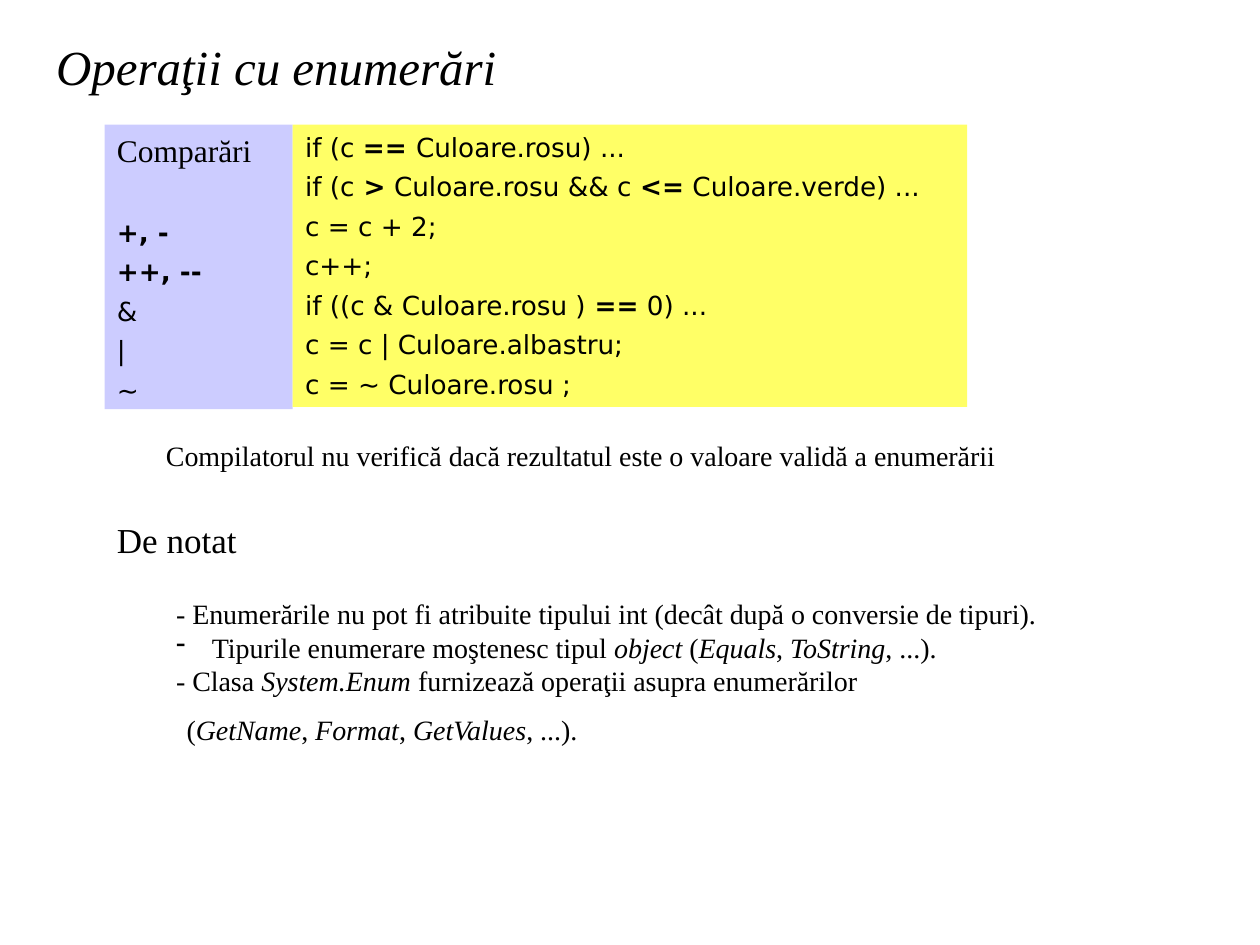
from dataclasses import dataclass

from lxml.etree import SubElement
from pptx import Presentation
from pptx.dml.color import RGBColor
from pptx.enum.text import MSO_ANCHOR
from pptx.oxml.ns import qn
from pptx.util import Pt


@dataclass(frozen=True)
class Theme:
    serif: str = "Times New Roman"
    sans: str = "DejaVu Sans"
    ink: RGBColor = RGBColor(0, 0, 0)
    lavender: RGBColor = RGBColor(0xCC, 0xCC, 0xFF)
    yellow: RGBColor = RGBColor(0xFF, 0xFF, 0x66)
    title: int = 28
    heading: int = 20
    label: int = 18
    body: int = 16
    code: int = 15


THEME = Theme()

# Within a line, every second piece (between bars of ¦) is emphasised.
MARK = "¦"
TITLE = "¦Operaţii cu enumerări¦"
COMPARISON_LABEL = "Comparări"
OPERATORS = ["¦+, -¦", "¦++, --¦", "&", "|", "~"]
EXAMPLES = [
    "if (c ¦== ¦Culoare.rosu) ...",
    "if (c¦ >¦ Culoare.rosu && c ¦<=¦ Culoare.verde) ...",
    "c = c + 2;",
    "c++;",
    "if ((c & Culoare.rosu ) ¦==¦ 0) ...",
    "c = c | Culoare.albastru;",
    "c = ~ Culoare.rosu ;",
]
WARNING = "Compilatorul nu verifică dacă rezultatul este o valoare validă a enumerării"
NOTES_HEADING = "De notat"
NOTES = [
    "- Enumerările nu pot fi atribuite tipului int (decât după o conversie de tipuri).",
    "Tipurile enumerare moştenesc tipul ¦object ¦(¦Equals¦, ¦ToString¦, ...).",
    "- Clasa ¦System.Enum ¦furnizează operaţii asupra enumerărilor",
    "(¦GetName¦, ¦Format¦, ¦GetValues¦, ...).",
]

TABLE_LEFT, TABLE_TOP = 59.75, 71.25
OPERATOR_WIDTH, EXAMPLE_WIDTH = 107.5, 385.5
CODE_GAP = 4.6
LABEL_GAP = 27


def add_box(slide, left, top, width, height, fill=None):
    box = slide.shapes.add_textbox(Pt(left), Pt(top), Pt(width), Pt(height))
    box.text_frame.word_wrap = True
    if fill is not None:
        box.fill.solid()
        box.fill.fore_color.rgb = fill
    return box.text_frame


def write_lines(frame, lines, size, font=THEME.serif, emphasis="italic", gap=0):
    """Append marked-up lines to the frame and return their paragraphs."""
    paragraphs = []
    for line in lines:
        first = frame.paragraphs[0]
        paragraph = frame.add_paragraph() if first.runs else first
        paragraph.space_after = Pt(gap)
        paragraph.font.name = font
        paragraph.font.size = Pt(size)
        paragraph.font.color.rgb = THEME.ink
        for index, piece in enumerate(line.split(MARK)):
            if piece:
                run = paragraph.add_run()
                run.text = piece
                if index % 2:
                    setattr(run.font, emphasis, True)
        paragraphs.append(paragraph)
    return paragraphs


def indent(paragraph, margin, bullet=None):
    properties = paragraph._p.get_or_add_pPr()
    properties.set("marL", str(Pt(margin)))
    if bullet:
        properties.set("indent", str(-Pt(margin)))
        mark = SubElement(properties, qn("a:buChar"))
        mark.set("char", bullet)
        default_font = properties.find(qn("a:defRPr"))
        if default_font is not None:
            default_font.addprevious(mark)


def add_operations(slide):
    operators = add_box(slide, TABLE_LEFT, TABLE_TOP, OPERATOR_WIDTH, 162.5, THEME.lavender)
    write_lines(operators, [COMPARISON_LABEL], THEME.label)
    symbols = write_lines(operators, OPERATORS, THEME.code, THEME.sans, "bold", CODE_GAP)
    symbols[0].space_before = Pt(LABEL_GAP)

    examples = add_box(slide, TABLE_LEFT + OPERATOR_WIDTH, TABLE_TOP,
                       EXAMPLE_WIDTH, 161.25, THEME.yellow)
    write_lines(examples, EXAMPLES, THEME.code, THEME.sans, "bold", CODE_GAP)


def add_notes(slide):
    heading = add_box(slide, TABLE_LEFT, 292.5, 130, 31.5)
    write_lines(heading, [NOTES_HEADING], THEME.heading)
    notes = write_lines(add_box(slide, 93.5, 337.5, 510.5, 93.5), NOTES, THEME.body)
    indent(notes[1], 20.5, bullet="-")
    indent(notes[3], 6)
    notes[3].space_before = Pt(8.5)


def main():
    presentation = Presentation()
    presentation.slide_width, presentation.slide_height = Pt(720), Pt(540)
    slide = presentation.slides.add_slide(presentation.slide_layouts[6])

    title = add_box(slide, 25, 15, 612, 45.5)
    title.vertical_anchor = MSO_ANCHOR.MIDDLE
    write_lines(title, [TITLE], THEME.title)
    add_operations(slide)
    warning = add_box(slide, 87.75, 247, 499, 26.5)
    write_lines(warning, [WARNING], THEME.body)
    add_notes(slide)

    presentation.save("out.pptx")


if __name__ == "__main__":
    main()
